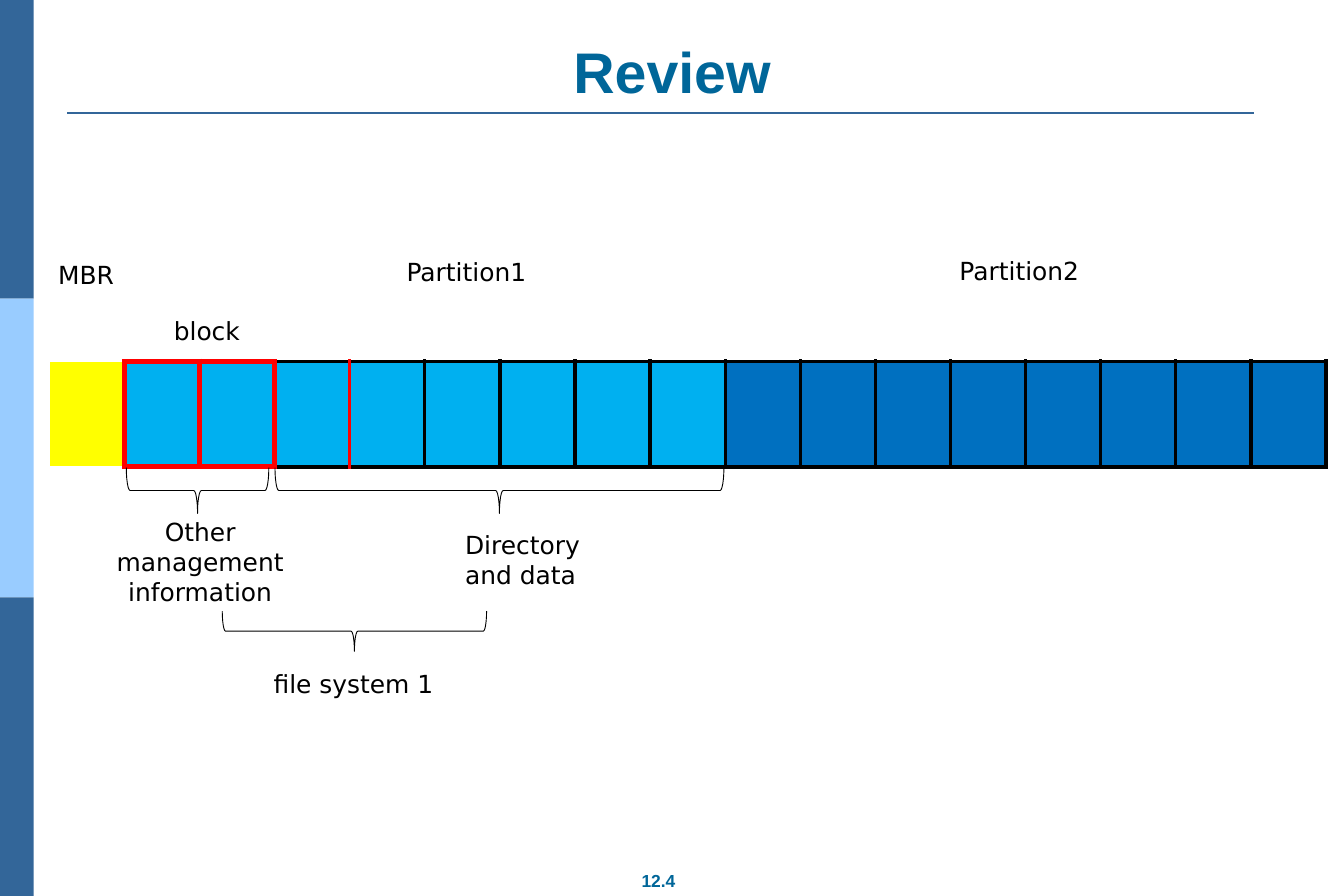
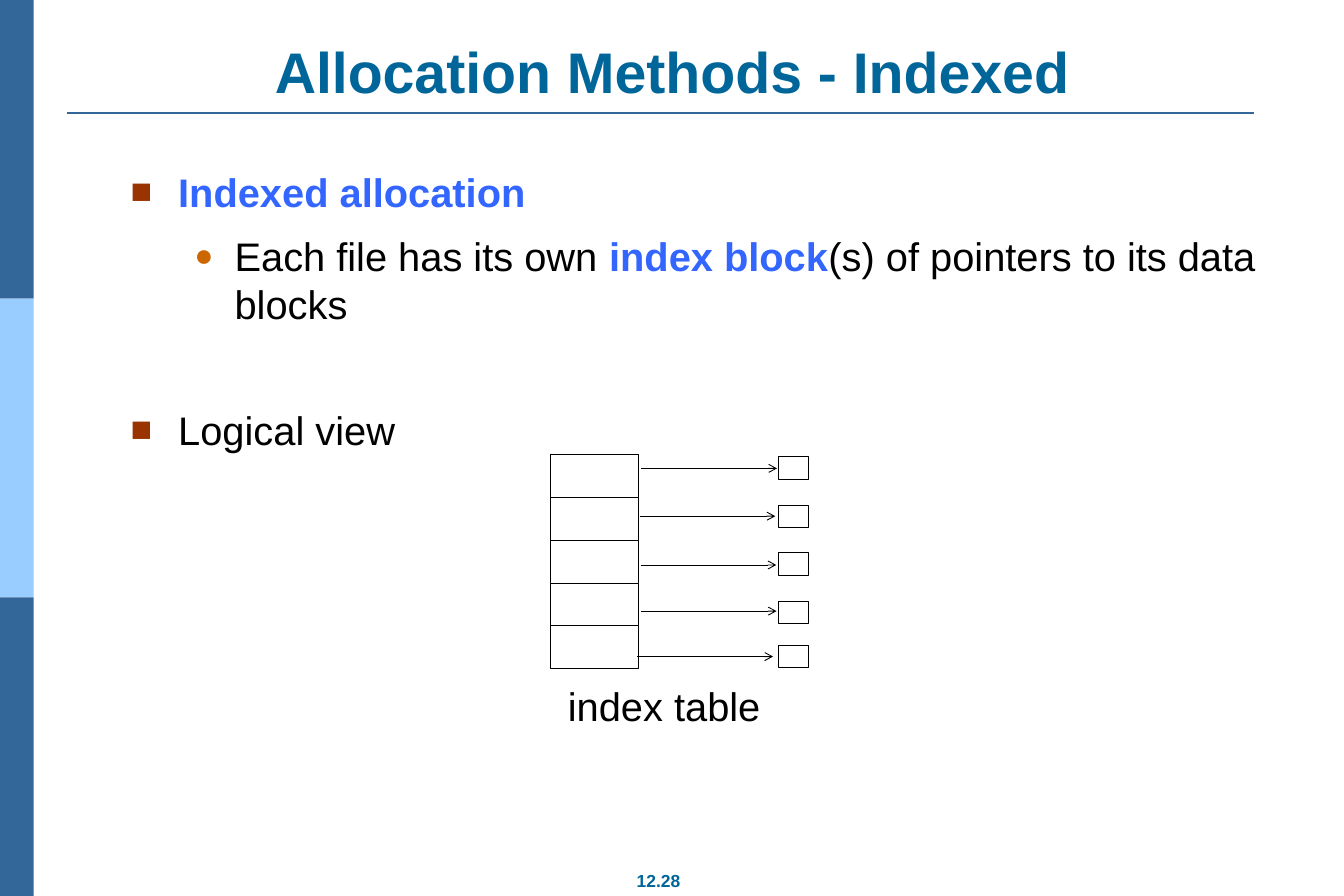
from lxml.etree import SubElement
from pptx import Presentation
from pptx.dml.color import RGBColor
from pptx.enum.shapes import MSO_CONNECTOR, MSO_SHAPE
from pptx.enum.text import MSO_ANCHOR, MSO_AUTO_SIZE, PP_ALIGN
from pptx.oxml.ns import qn
from pptx.util import Pt

WHITE = RGBColor(0xFF, 0xFF, 0xFF)
BLACK = RGBColor(0x00, 0x00, 0x00)
RED = RGBColor(0xFF, 0x00, 0x00)
YELLOW = RGBColor(0xFF, 0xFF, 0x00)
SKY = RGBColor(0x00, 0xB0, 0xF0)
BLUE = RGBColor(0x00, 0x70, 0xC0)
DARK_BAND = RGBColor(0x33, 0x66, 0x99)
LIGHT_BAND = RGBColor(0x99, 0xCC, 0xFF)
HEADING = RGBColor(0x00, 0x66, 0x99)
KEYWORD = RGBColor(0x33, 0x66, 0xFF)
SQUARE_BULLET = RGBColor(0x99, 0x33, 0x00)
ROUND_BULLET = RGBColor(0xCC, 0x66, 0x00)

SLIDE_WIDTH, SLIDE_HEIGHT = 1080, 720
TITLE_ONLY, TITLE_AND_CONTENT = 5, 1
TITLE_FONT = {"name": "Arial", "size": Pt(46), "bold": True}
FOOTER_FONT = {"name": "Arial", "size": Pt(14), "bold": True}
BODY_FONT = {"name": "Arial", "size": Pt(32), "bold": False}
KEYWORD_FONT = {**BODY_FONT, "bold": True}
LABEL_FONT = {"name": "DejaVu Sans", "size": Pt(20)}
WIDE_MARGINS = {
    "margin_left": Pt(10), "margin_right": Pt(10),
    "margin_top": Pt(5), "margin_bottom": Pt(5),
}
LEVELS = [
    {"margin": 38.2, "hanging": 38.2, "symbol": "■", "percent": 90, "color": SQUARE_BULLET},
    {"margin": 83.5, "hanging": 32.4, "symbol": "●", "percent": 80, "color": ROUND_BULLET},
]


def apply(target, values):
    for name, value in values.items():
        setattr(target, name, value)


def place(shape, box):
    apply(shape, dict(zip(("left", "top", "width", "height"), map(Pt, box))))


def style_font(font, values, color):
    apply(font, values)
    font.color.rgb = color


def add_text(slide, box, text, font, color, align=PP_ALIGN.LEFT, **frame_values):
    frame = slide.shapes.add_textbox(*map(Pt, box)).text_frame
    apply(frame, {"word_wrap": True, **frame_values})
    paragraph = frame.paragraphs[0]
    paragraph.text = text
    paragraph.alignment = align
    style_font(paragraph.font, font, color)


def add_outline(slide, kind, box, fill=None, line=None):
    shape = slide.shapes.add_shape(kind, *map(Pt, box))
    shape.shadow.inherit = False
    if fill is None:
        shape.fill.background()
    else:
        shape.fill.solid()
        shape.fill.fore_color.rgb = fill
    if line is None:
        shape.line.fill.background()
    else:
        shape.line.color.rgb = line
        shape.line.width = Pt(0.75)
    return shape


def add_line(slide, start, end, color, width, arrow=False):
    connector = slide.shapes.add_connector(MSO_CONNECTOR.STRAIGHT, *map(Pt, start + end))
    connector.line.color.rgb = color
    connector.line.width = Pt(width)
    properties = connector.element.spPr
    if arrow:
        SubElement(properties.find(qn("a:ln")), qn("a:tailEnd"), type="arrow")
    SubElement(properties, qn("a:effectLst"))


def add_base_slide(presentation, layout_index, title_text, number):
    slide = presentation.slides.add_slide(presentation.slide_layouts[layout_index])
    band_height = SLIDE_HEIGHT / 3
    for index, color in enumerate((DARK_BAND, LIGHT_BAND, DARK_BAND)):
        add_outline(slide, MSO_SHAPE.RECTANGLE, (0, index * band_height, 27, band_height), color)
    add_line(slide, (54, 90.8), (1008, 90.8), DARK_BAND, 1.5)
    add_text(slide, (500.4, 694, 57.6, 27), number, FOOTER_FONT, HEADING,
             PP_ALIGN.CENTER, **{**WIDE_MARGINS, "word_wrap": False})
    title = slide.shapes.title
    place(title, (54, 28.8, 972, 60.5))
    title.text = title_text
    apply(title.text_frame, {**WIDE_MARGINS, "vertical_anchor": MSO_ANCHOR.BOTTOM,
                             "auto_size": MSO_AUTO_SIZE.NONE})
    paragraph = title.text_frame.paragraphs[0]
    paragraph.alignment = PP_ALIGN.CENTER
    style_font(paragraph.font, TITLE_FONT, HEADING)
    return slide


def set_border(cell, side, color, width):
    line = SubElement(cell._tc.get_or_add_tcPr(), qn(f"a:{side}"), w=str(Pt(width)))
    SubElement(SubElement(line, qn("a:solidFill")), qn("a:srgbClr"), val=str(color))


def add_disk_table(slide, box):
    colors = [YELLOW] + [SKY] * 8 + [BLUE] * 8
    plain, thick_red, black = (WHITE, 1), (RED, 4.5), (BLACK, 3)
    dividers = [plain] + [thick_red] * 3 + [(RED, 3)] + [black] * 13
    edges = [plain] + [thick_red] * 2 + [black] * 14
    frame = slide.shapes.add_table(1, len(colors), *map(Pt, box))
    table = frame.table
    apply(table, {"first_row": False, "horz_banding": False})
    for index, color in enumerate(colors):
        table.columns[index].width = Pt(box[2] / len(colors))
        cell = table.cell(0, index)
        borders = (dividers[index], dividers[index + 1], edges[index], edges[index])
        for side, border in zip(("lnL", "lnR", "lnT", "lnB"), borders):
            set_border(cell, side, *border)
        cell.fill.solid()
        cell.fill.fore_color.rgb = color


def add_brace_below(slide, box):
    left, top, width, height = box
    center_x, center_y = left + width / 2, top + height / 2
    brace = add_outline(slide, MSO_SHAPE.LEFT_BRACE,
                        (center_x - height / 2, center_y - width / 2, height, width), line=BLACK)
    brace.adjustments[0] = 0.083
    brace.rotation = 270


def add_disk_layout(slide, left, top, width, height):
    add_disk_table(slide, (left, top, width, height))
    braces = [
        (61.9, 85.6, 114.5, 36.7),
        (181.4, 85.6, 360.7, 36.7),
        (139, 200.8, 212.4, 32.4),
    ]
    for x, y, brace_width, brace_height in braces:
        add_brace_below(slide, (left + x, top + y, brace_width, brace_height))
    labels = [
        ("MBR", 0, -85, 93, 32, PP_ALIGN.LEFT),
        ("Partition1", 280, -87.2, 127, 32, PP_ALIGN.LEFT),
        ("Partition2", 724.3, -88.6, 127, 32, PP_ALIGN.LEFT),
        ("block", 93, -40.3, 127, 32, PP_ALIGN.LEFT),
        ("Other management information", 45.3, 121.6, 152, 80, PP_ALIGN.CENTER),
        ("Directory and data", 327, 131.7, 127, 55, PP_ALIGN.LEFT),
        ("file system 1", 170, 243.3, 149, 32, PP_ALIGN.CENTER),
    ]
    for text, x, y, label_width, label_height, align in labels:
        add_text(slide, (left + x, top + y, label_width, label_height),
                 text, LABEL_FONT, BLACK, align)


def add_bullet(paragraph, margin, hanging, symbol, percent, color):
    properties = paragraph._p.get_or_add_pPr()
    properties.set("marL", str(Pt(margin)))
    properties.set("indent", str(-Pt(hanging)))
    SubElement(SubElement(properties, qn("a:buClr")), qn("a:srgbClr"), val=str(color))
    SubElement(properties, qn("a:buSzPct"), val=str(percent * 1000))
    SubElement(properties, qn("a:buFont"), typeface="Arial")
    SubElement(properties, qn("a:buChar"), char=symbol)


def fill_body(slide, box, items):
    body = slide.placeholders[1]
    place(body, box)
    frame = body.text_frame
    apply(frame, {**WIDE_MARGINS, "auto_size": MSO_AUTO_SIZE.NONE, "word_wrap": True})
    for index, (level, space, runs) in enumerate(items):
        paragraph = frame.add_paragraph() if index else frame.paragraphs[0]
        add_bullet(paragraph, **LEVELS[level])
        apply(paragraph, {"level": level, "space_before": Pt(space)})
        for text, font, color in runs:
            run = paragraph.add_run()
            run.text = text
            style_font(run.font, font, color)


def add_index_table(slide, left, top):
    rows = [
        (1.4, 73.4, 10.8),
        (40.3, 72, 49.2),
        (78.6, 72.8, 88.4),
        (117.4, 73, 125.5),
        (152.8, 70.2, 162),
    ]
    for index, (block_top, arrow_left, arrow_top) in enumerate(rows):
        add_outline(slide, MSO_SHAPE.RECTANGLE,
                    (left, top + index * 34.3, 71.3, 34.3), WHITE, BLACK)
        add_outline(slide, MSO_SHAPE.RECTANGLE,
                    (left + 183.6, top + block_top, 24, 18), WHITE, BLACK)
        add_line(slide, (left + arrow_left, top + arrow_top),
                 (left + arrow_left + 109, top + arrow_top), BLACK, 0.75, arrow=True)
    add_text(slide, (left + 3.6, top + 177.2, 176.4, 49), "index table", BODY_FONT, BLACK,
             PP_ALIGN.CENTER, **{**WIDE_MARGINS, "word_wrap": False,
                                 "vertical_anchor": MSO_ANCHOR.MIDDLE})


def main():
    presentation = Presentation()
    apply(presentation, {"slide_width": Pt(SLIDE_WIDTH), "slide_height": Pt(SLIDE_HEIGHT)})

    review = add_base_slide(presentation, TITLE_ONLY, "Review", "12.4")
    add_disk_layout(review, 39.6, 290.2, 1026, 85)

    indexed = add_base_slide(presentation, TITLE_AND_CONTENT,
                             "Allocation Methods - Indexed", "12.28")
    fill_body(indexed, (95, 129.6, 972, 151.2), [
        (0, 0, [("Indexed allocation", KEYWORD_FONT, KEYWORD)]),
        (1, 13, [("Each file has its own ", BODY_FONT, BLACK),
                 ("index block", KEYWORD_FONT, KEYWORD),
                 ("(s) of pointers to its data blocks", BODY_FONT, BLACK)]),
        (0, 63, [("Logical view", BODY_FONT, BLACK)]),
    ])
    add_index_table(indexed, 442, 365.6)

    presentation.save("out.pptx")


if __name__ == "__main__":
    main()
